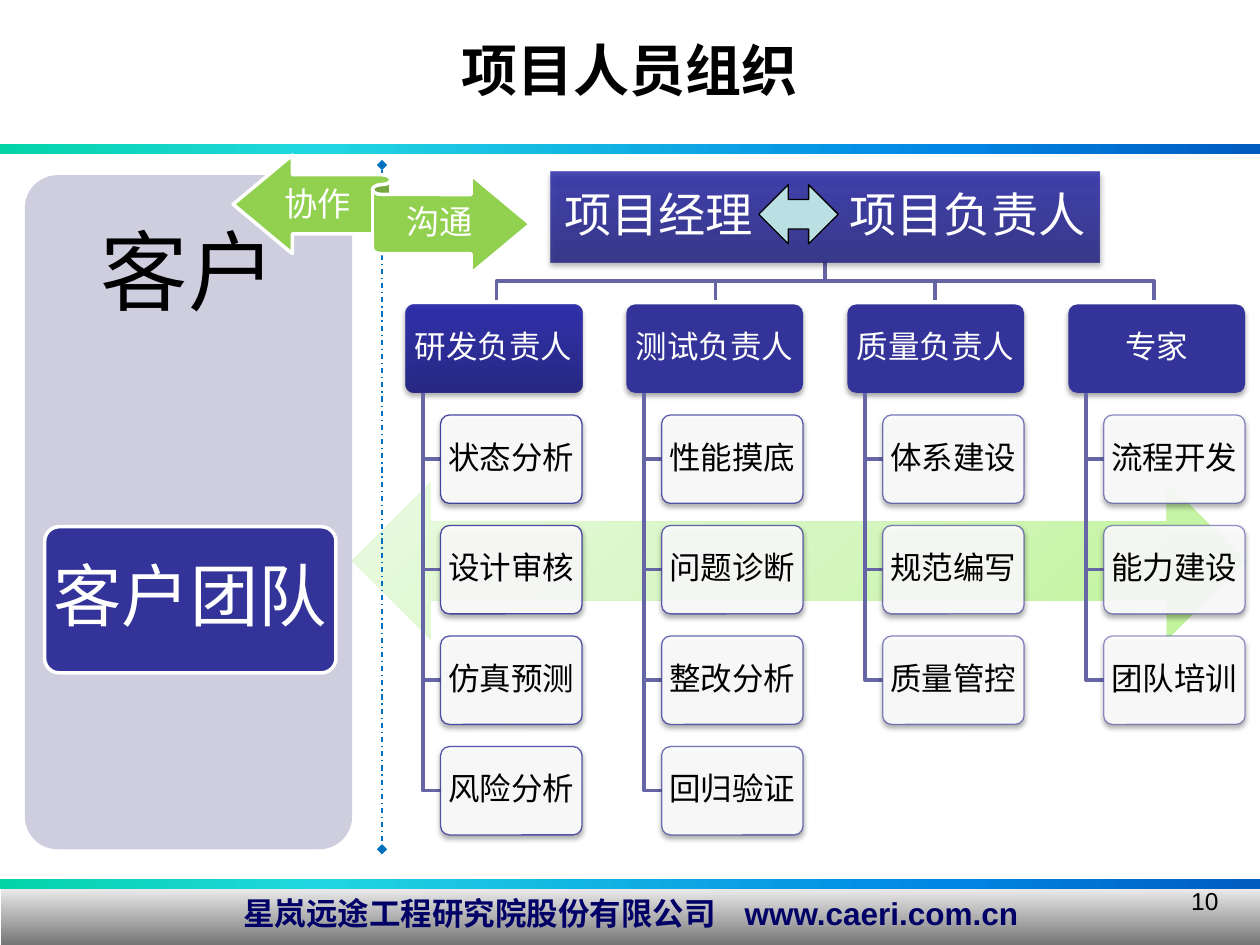
import pptx
import pptx.util
import pptx.dml.color
import pptx.enum.dml
import pptx.enum.shapes
import pptx.enum.text
import pptx.oxml
import pptx.oxml.ns
import lxml.etree

Pt = pptx.util.Pt
qn = pptx.oxml.ns.qn
SHAPES = pptx.enum.shapes.MSO_SHAPE
ALIGN = pptx.enum.text.PP_ALIGN
ANCHOR = pptx.enum.text.MSO_ANCHOR

COLORS = {
    "white": "FFFFFF", "black": "000000", "footer_text": "000066", "navy": "333399",
    "branch": "6666A7", "divider": "0070C0", "panel": "CECEDE", "ribbon": "92D050",
    "swap": "BBE0E3",
}
STRIPE = [(0, "03D4A8"), (25, "21D6E0"), (75, "0087E6"), (100, "005CBF")]
FOOTER = [(0, "EAEAEA"), (100, "6C6C6C")]
SWEEP = [(0, "BEF397"), (50, "D5F6C0"), (100, "EAFAE0")]
DEEP = [(0, "1B1B7E"), (80, "2323A3"), (100, "2020A6")]

TITLE = "项目人员组织"
COMPANY = "星岚远途工程研究院股份有限公司\twww.caeri.com.cn"
LEADERS = "项目经理\t项目负责人"
TEAMS = [
    ("研发负责人", ["状态分析", "设计审核", "仿真预测", "风险分析"]),
    ("测试负责人", ["性能摸底", "问题诊断", "整改分析", "回归验证"]),
    ("质量负责人", ["体系建设", "规范编写", "质量管控"]),
    ("专家", ["流程开发", "能力建设", "团队培训"]),
]
RIBBON_LABELS = [("协作", (153.4, 100.8, 56.2, 33.1)), ("沟通", (218.2, 111.6, 66.2, 33.1))]

TEAM_LEFT, TEAM_TOP, TEAM_PITCH, ROW_PITCH = 231.6, 174, 126.3, 63.15
HEAD_WIDTH, BOX_HEIGHT, TRUNK, INDENT = 101, 50.5, 10.1, 20.2
BUS_CENTER, BUS_PITCH, BUS_YS = 471.6, 125.3, (149.8, 160.6, 171.4)

deck = pptx.Presentation()
deck.slide_width, deck.slide_height = Pt(720), Pt(540)
page = deck.slides.add_slide(deck.slide_layouts[6])


def rgb(name):
    return pptx.dml.color.RGBColor.from_string(COLORS[name])


def set_alpha(color_parent, percent):
    color = color_parent.find(".//" + qn("a:srgbClr"))
    lxml.etree.SubElement(color, qn("a:alpha")).set("val", str(round(percent * 1000)))


def set_gradient(shape, stops, angle, alpha=100):
    shape.fill.background()
    properties = shape._element.spPr
    marks = "".join(
        f'<a:gs pos="{place * 1000}"><a:srgbClr val="{color}">'
        f'<a:alpha val="{alpha * 1000}"/></a:srgbClr></a:gs>' for place, color in stops)
    gradient = pptx.oxml.parse_xml(
        f'<a:gradFill {pptx.oxml.ns.nsdecls("a")} rotWithShape="1"><a:gsLst>{marks}</a:gsLst>'
        f'<a:lin ang="{angle * 60000}" scaled="0"/></a:gradFill>')
    properties.replace(properties.find(qn("a:noFill")), gradient)


def add_shadow(shape):
    effects = shape._element.spPr.find(qn("a:effectLst"))
    effects.append(pptx.oxml.parse_xml(
        f'<a:outerShdw {pptx.oxml.ns.nsdecls("a")} blurRad="{Pt(3.1)}" dist="{Pt(1.8)}" '
        'dir="5400000" rotWithShape="0"><a:srgbClr val="000000"><a:alpha val="35000"/>'
        '</a:srgbClr></a:outerShdw>'))


def add_box(kind, place, fill=None, line=None, width=0.75, adjust=()):
    box = page.shapes.add_shape(kind, *map(Pt, place))
    box.shadow.inherit = False
    for index, value in enumerate(adjust):
        box.adjustments[index] = value
    if fill:
        box.fill.solid()
        box.fill.fore_color.rgb = rgb(fill)
    if line:
        box.line.color.rgb = rgb(line)
        box.line.width = Pt(width)
    else:
        box.line.fill.background()
    return box


def write(box, text, size, color="white", align=ALIGN.CENTER, anchor=ANCHOR.MIDDLE,
          bold=False, inset=1, left=None, tab=None, spacing=0.9, font="Arial"):
    frame = box.text_frame
    frame.word_wrap = True
    frame.vertical_anchor = anchor
    frame.margin_left = Pt(inset if left is None else left)
    frame.margin_right = frame.margin_top = frame.margin_bottom = Pt(inset)
    frame.text = text
    para = frame.paragraphs[0]
    para.alignment = align
    para.line_spacing = spacing
    if tab:
        tabs = lxml.etree.SubElement(para._p.get_or_add_pPr(), qn("a:tabLst"))
        stop = lxml.etree.SubElement(tabs, qn("a:tab"))
        stop.set("pos", str(Pt(tab)))
        stop.set("algn", "l")
    for span in para.runs:
        span.font.size = Pt(size)
        span.font.bold = bold
        span.font.color.rgb = rgb(color)
        span.font.name = font
        east_asian = lxml.etree.SubElement(span._r.get_or_add_rPr(), qn("a:ea"))
        east_asian.set("typeface", "Noto Sans CJK SC")


def add_text(place, text, size, **options):
    write(page.shapes.add_textbox(*map(Pt, place)), text, size, **options)


def add_branch(*points):
    corners = [(Pt(x), Pt(y)) for x, y in points]
    builder = page.shapes.build_freeform(*corners[0])
    builder.add_line_segments(corners[1:], close=False)
    branch = builder.convert_to_shape()
    branch.shadow.inherit = False
    branch.fill.background()
    branch.line.color.rgb = rgb("branch")
    branch.line.width = Pt(2)


for stripe_top in (502.5, 82.2):
    set_gradient(add_box(SHAPES.RECTANGLE, (0, stripe_top, 720, 5.7)), STRIPE, 0)
footer = add_box(SHAPES.RECTANGLE, (0.7, 507.8, 719.3, 35))
set_gradient(footer, FOOTER, 90)
write(footer, COMPANY, 18, color="footer_text", align=ALIGN.LEFT, anchor=ANCHOR.TOP,
      bold=True, inset=3, left=138.3, tab=286.5, spacing=1)
sweep = add_box(SHAPES.LEFT_RIGHT_ARROW, (201.3, 275.6, 510.5, 90), adjust=(0.5, 0.5))
set_gradient(sweep, SWEEP, 225)
add_text((0, 16.6, 720, 55.4), TITLE, 32, color="black", bold=True, anchor=ANCHOR.TOP,
         inset=3.6, spacing=1, font="Noto Sans CJK SC")

bus_top, bus_middle, bus_bottom = BUS_YS
for column in reversed(range(len(TEAMS))):
    x = BUS_CENTER + (column - (len(TEAMS) - 1) / 2) * BUS_PITCH
    add_branch((BUS_CENTER, bus_top), (BUS_CENTER, bus_middle), (x, bus_middle), (x, bus_bottom))
leaders = add_box(SHAPES.RECTANGLE, (314.4, 97.9, 314.1, 52))
set_gradient(leaders, DEEP, 270, 80)
add_shadow(leaders)
write(leaders, LEADERS, 27, align=ALIGN.LEFT, left=8, tab=163)
add_text((535.7, 502.6, 164.2, 37.4), "10", 14, color="black", align=ALIGN.RIGHT,
         anchor=ANCHOR.TOP, inset=3.6, spacing=1)

task_total = sum(len(tasks) for _, tasks in TEAMS)
task_count = 0
for column, (leader, tasks) in enumerate(TEAMS):
    left = TEAM_LEFT + column * TEAM_PITCH
    place = (left, TEAM_TOP, HEAD_WIDTH, BOX_HEIGHT)
    head = add_box(SHAPES.ROUNDED_RECTANGLE, place, "navy", adjust=(0.1,))
    if column == 0:
        set_gradient(head, DEEP, 270, 90)
    add_shadow(head)
    write(head, leader, 18)
    for row, task in enumerate(tasks, 1):
        top = TEAM_TOP + row * ROW_PITCH
        middle = top + BOX_HEIGHT / 2
        trunk = left + TRUNK
        add_branch((trunk, TEAM_TOP + BOX_HEIGHT), (trunk, middle), (left + INDENT, middle))
        place = (left + INDENT, top, HEAD_WIDTH - INDENT, BOX_HEIGHT)
        box = add_box(SHAPES.ROUNDED_RECTANGLE, place, "white", "navy", adjust=(0.1,))
        set_alpha(box._element.spPr.find(qn("a:solidFill")), 90)
        set_alpha(box._element.spPr.find(qn("a:ln")), 90 - 40 * task_count / (task_total - 1))
        add_shadow(box)
        write(box, task, 18, color="black")
        task_count += 1

divider = page.shapes.add_connector(
    pptx.enum.shapes.MSO_CONNECTOR.STRAIGHT, Pt(218.3), Pt(94.3), Pt(218.3), Pt(485.3))
divider.line.color.rgb = rgb("divider")
divider.line.width = Pt(0.75)
divider.line.dash_style = pptx.enum.dml.MSO_LINE.DASH_DOT
for end in ("a:headEnd", "a:tailEnd"):
    lxml.etree.SubElement(divider._element.spPr.find(qn("a:ln")), qn(end)).set("type", "diamond")
lxml.etree.SubElement(divider._element.spPr, qn("a:effectLst"))

add_box(SHAPES.ROUNDED_RECTANGLE, (14.2, 100.1, 187, 385.2), "panel", adjust=(0.1,))
add_text((14.2, 100.1, 187, 115.9), "客户", 50, color="black")
client_team = add_box(SHAPES.ROUNDED_RECTANGLE, (25.5, 301, 166.5, 83.5), "navy", "white", 2, (0.1,))
write(client_team, "客户团队", 39)

add_box(SHAPES.LEFT_RIGHT_RIBBON, (133.2, 88.6, 169.9, 67.7), "ribbon", "white", 2)
for label, place in RIBBON_LABELS:
    add_text(place, label, 19)
add_box(SHAPES.LEFT_RIGHT_ARROW, (433.6, 105.6, 45.4, 33.8), "swap", "black", adjust=(0.5, 0.5))

deck.save("out.pptx")
